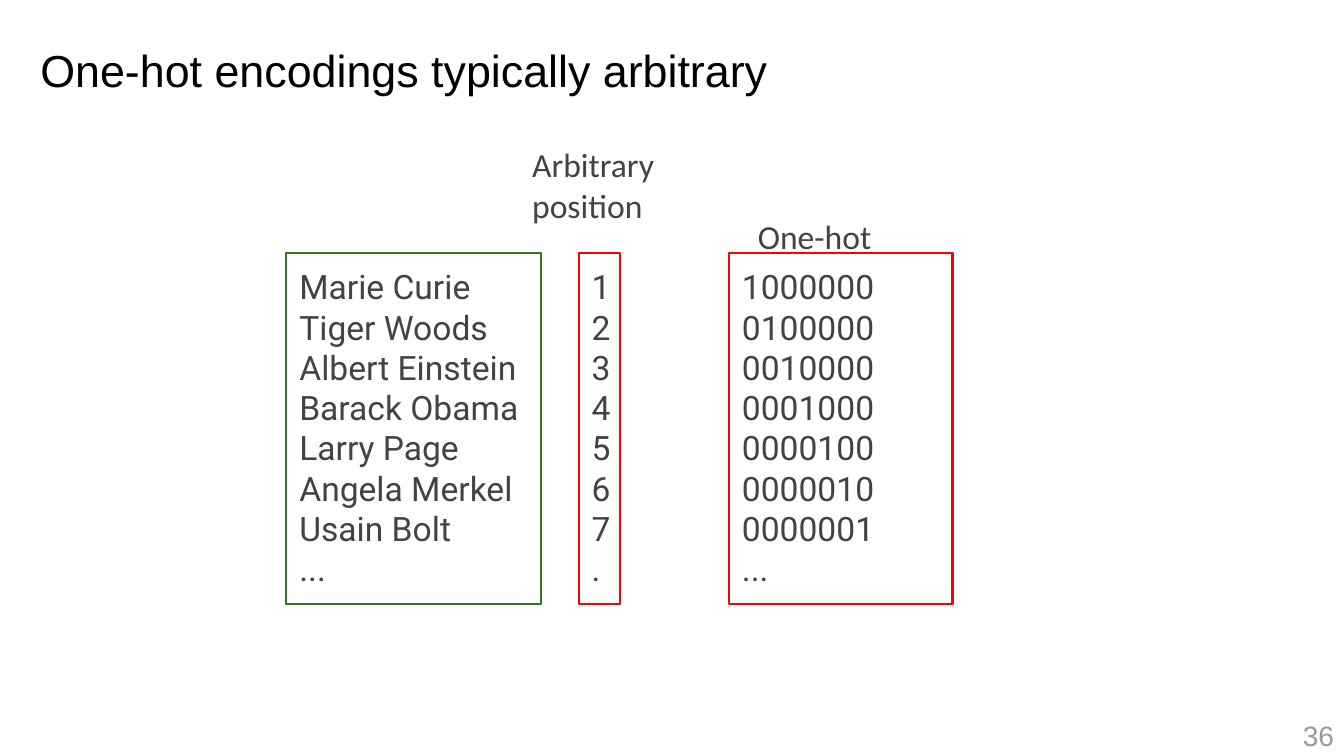
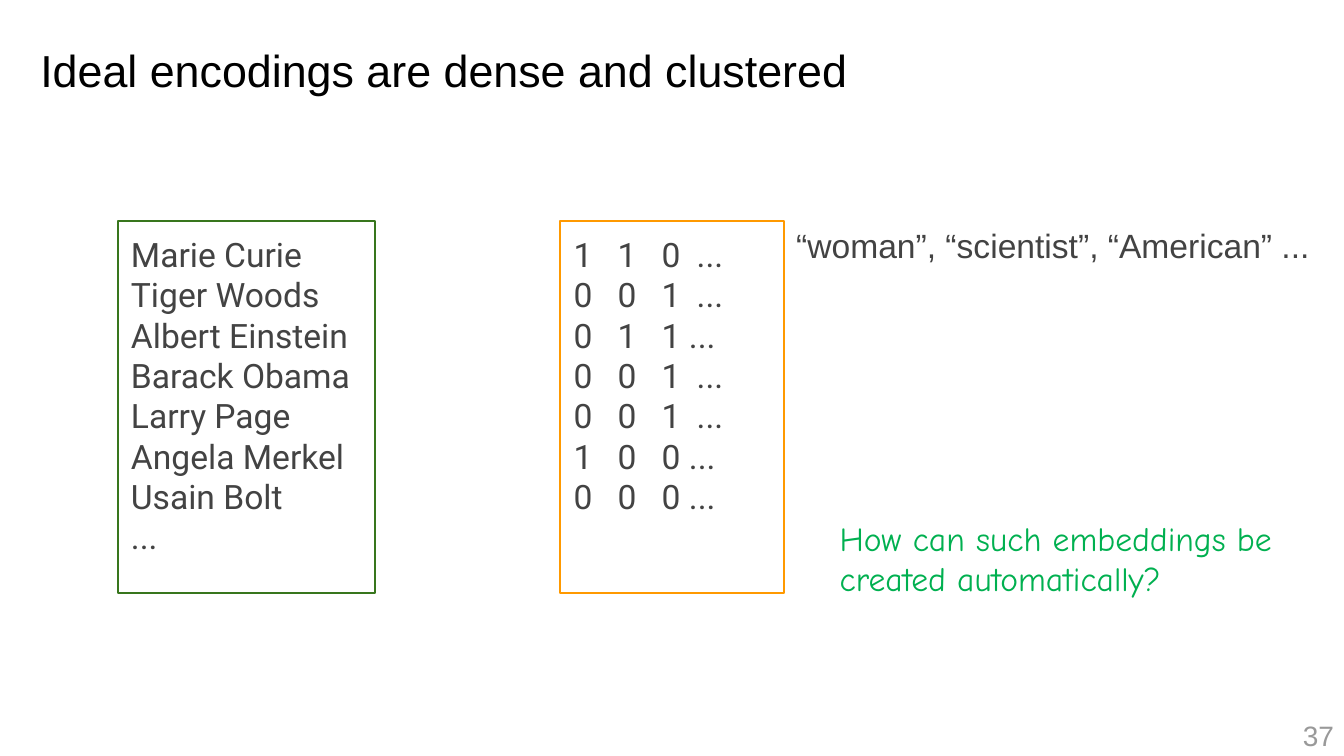
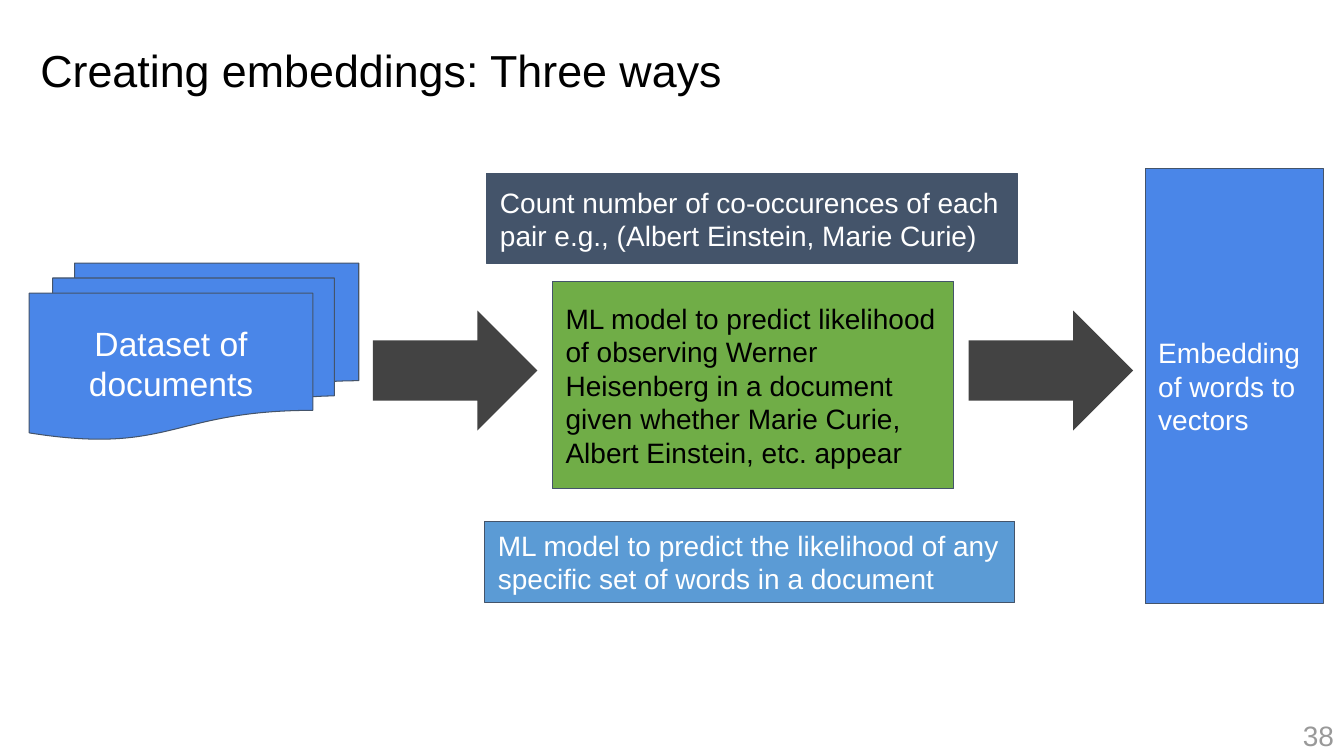
from pptx import Presentation
from pptx.dml.color import RGBColor
from pptx.enum.shapes import MSO_SHAPE as Kind
from pptx.enum.text import MSO_ANCHOR as Anchor, MSO_AUTO_SIZE as Fit, PP_ALIGN as Align
from pptx.oxml.ns import qn
from pptx.util import Pt
from lxml.etree import SubElement


class Theme:
    black = RGBColor.from_string("000000")
    white = RGBColor.from_string("FFFFFF")
    ink = RGBColor.from_string("434343")
    gray = RGBColor.from_string("999999")
    green = RGBColor.from_string("38761D")
    red = RGBColor.from_string("FF0000")
    orange = RGBColor.from_string("FF9900")
    mint = RGBColor.from_string("00B050")
    blue = RGBColor.from_string("4A86E8")
    slate = RGBColor.from_string("44546A")
    leaf = RGBColor.from_string("70AD47")
    sky = RGBColor.from_string("5B9BD5")
    sans, list_font, label_font, hand = "Arial", "Roboto", "Calibri", "Comic Neue"
    head, body, small = Pt(32), Pt(24), Pt(20)
    inset = (9.36,) * 4
    thick, thin = Pt(1.5), Pt(0.75)


def write(shape, lines, font, size, color, align=Align.LEFT,
          anchor=Anchor.MIDDLE, inset=Theme.inset, tabs=()):
    """Fill a shape with one paragraph per line, all in one style."""
    frame = shape.text_frame
    frame.text = "\n".join(lines)
    frame.word_wrap = True
    frame.auto_size = Fit.NONE
    frame.vertical_anchor = anchor
    (frame.margin_left, frame.margin_top,
     frame.margin_right, frame.margin_bottom) = map(Pt, inset)
    for para in frame.paragraphs:
        para.alignment = align
        if tabs:
            stops = SubElement(para._p.get_or_add_pPr(), qn("a:tabLst"))
            for stop in tabs:
                SubElement(stops, qn("a:tab"), pos=str(Pt(stop)), algn="l")
        para.font.name = font
        para.font.size = size
        para.font.color.rgb = color


def draw(slide, kind, box, fill=None, line=None, width=Theme.thin):
    shape = slide.shapes.add_shape(kind, *map(Pt, box))
    shape.shadow.inherit = False
    if fill is None:
        shape.fill.background()
    else:
        shape.fill.solid()
        shape.fill.fore_color.rgb = fill
    if line is None:
        shape.line.fill.background()
    else:
        shape.line.color.rgb = line
        shape.line.width = width
    return shape


deck = Presentation()
deck.slide_width, deck.slide_height = Pt(960), Pt(540)
layout = deck.slide_layouts[5]
base = layout.placeholders[0]
base.left, base.top, base.width, base.height = map(Pt, (0, 0, 960, 104.4))

# Titles and page numbers
titles = [
    "One-hot encodings typically arbitrary",
    "Ideal encodings are dense and clustered",
    "Creating embeddings: Three ways",
]
slides = []
for page, title in enumerate(titles, 36):
    slide = deck.slides.add_slide(layout)
    write(slide.shapes.title, [title], Theme.sans, Theme.head, Theme.black,
          inset=(28.8, 3.6, 7.2, 3.6))
    slide.shapes.title.text_frame.paragraphs[0].line_spacing = 0.9
    number = slide.shapes.add_textbox(*map(Pt, (744, 510.5, 216, 28.8)))
    write(number, [str(page)], Theme.sans, Theme.small, Theme.gray,
          Align.RIGHT, inset=(7.2, 3.6, 7.2, 3.6))
    slides.append(slide)
hot, dense, ways = slides

# Framed lists on the first two slides
people = ["Marie Curie", "Tiger Woods", "Albert Einstein", "Barack Obama",
          "Larry Page", "Angela Merkel", "Usain Bolt"]
count = len(people)
names = people + ["..."]
places = [str(i + 1) for i in range(count)] + ["."]
codes = ["0" * i + "1" + "0" * (count - 1 - i) for i in range(count)] + ["..."]
traits = ["1\t1\t0\t...", "0\t0\t1\t...", "0\t1\t1 ...", "0\t0\t1\t...",
          "0\t0\t1\t...", "1\t0\t0 ...", "0\t0\t0 ..."]
hot_row, dense_row = (180.7, 250.6), (157.7, 265.7)
lists = [
    (hot, names, 204.5, 182.2, hot_row, Theme.green, ()),
    (hot, places, 413.3, 29.5, hot_row, Theme.red, ()),
    (hot, codes, 520.6, 159.8, hot_row, Theme.red, ()),
    (dense, names, 84.2, 183.6, dense_row, Theme.green, ()),
    (dense, traits, 400.3, 159.8, dense_row, Theme.orange, (31.5, 63, 88)),
]
for slide, lines, left, width, (top, height), color, tabs in lists:
    frame = draw(slide, Kind.RECTANGLE, (left, top, width, height),
                 line=color, width=Theme.thick)
    write(frame, lines, Theme.list_font, Theme.body, Theme.ink,
          anchor=Anchor.TOP, tabs=tabs)

# Labels beside the lists
labels = [
    (hot, "One-hot", (532, 144.7, 224, 51), Theme.label_font, Theme.ink, Anchor.TOP),
    (hot, "Arbitrary position", (370.8, 93.6, 113, 51), Theme.label_font, Theme.ink,
     Anchor.TOP),
    (dense, "“woman”, “scientist”, “American” ...", (559.4, 157.7, 400.3, 35.3),
     Theme.sans, Theme.ink, Anchor.MIDDLE),
    (dense, "How can such embeddings be created automatically?",
     (590.4, 361.4, 342, 74.9), Theme.hand, Theme.mint, Anchor.MIDDLE),
]
for slide, text, box, font, color, anchor in labels:
    label = slide.shapes.add_textbox(*map(Pt, box))
    write(label, [text], font, Theme.body, color, anchor=anchor)

# Flow from documents to vectors
docs = draw(ways, Kind.FLOWCHART_MULTIDOCUMENT, (20.9, 188, 235.4, 126),
            Theme.blue, Theme.slate)
write(docs, ["Dataset of documents"], Theme.sans, Theme.body, Theme.white,
      Align.CENTER)
for left in (266.4, 692):
    draw(ways, Kind.RIGHT_ARROW, (left, 221.8, 117.4, 85.7), Theme.ink)
steps = [
    ("ML model to predict likelihood of observing Werner Heisenberg in a document "
     "given whether Marie Curie, Albert Einstein, etc. appear",
     (394.6, 200.9, 286.6, 148.3), Theme.leaf, Theme.black),
    ("Embedding of words to vectors",
     (818, 120.2, 127.4, 311), Theme.blue, Theme.white),
    ("Count number of co-occurences of each pair e.g., (Albert Einstein, Marie Curie)",
     (347.8, 123.8, 378.7, 64.8), Theme.slate, Theme.white),
    ("ML model to predict the likelihood of any specific set of words in a document",
     (346.3, 372.2, 378.7, 58.3), Theme.sky, Theme.white),
]
for text, box, fill, color in steps:
    step = draw(ways, Kind.RECTANGLE, box, fill, Theme.slate)
    write(step, [text], Theme.sans, Theme.small, color)

deck.save("out.pptx")
